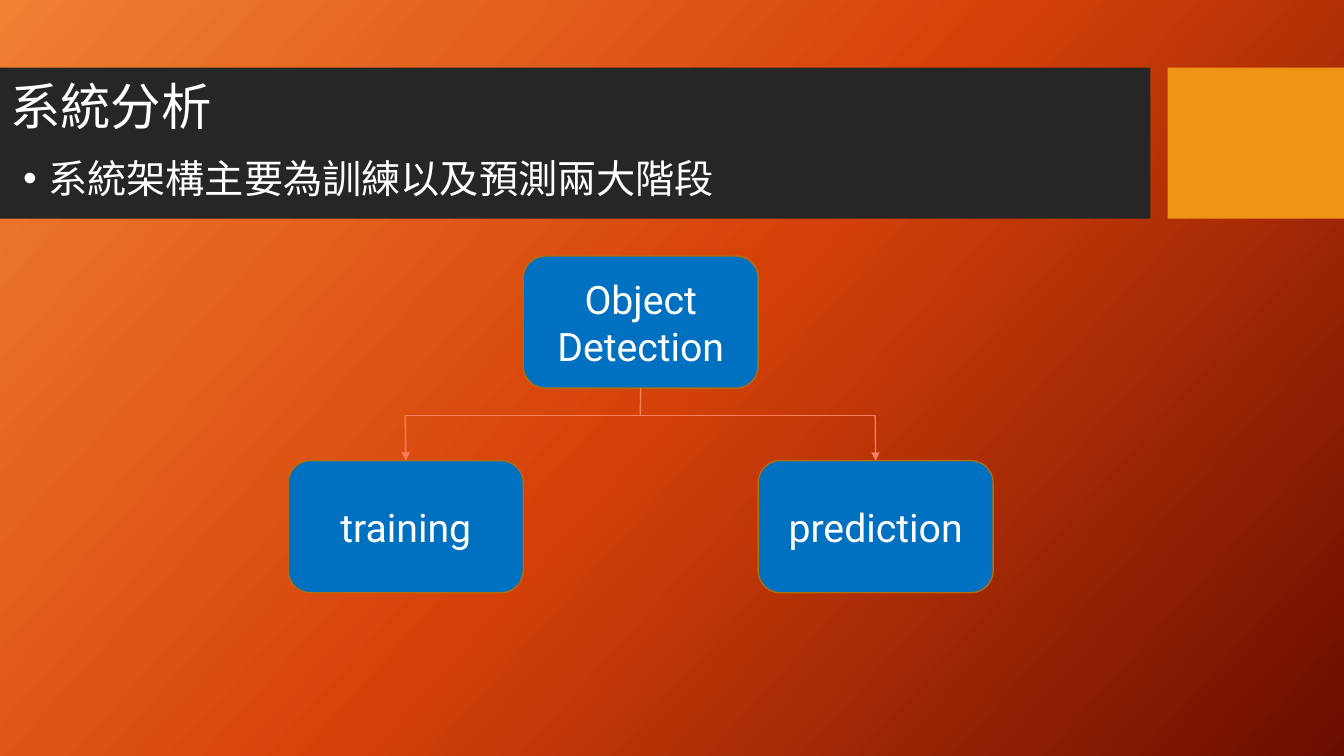
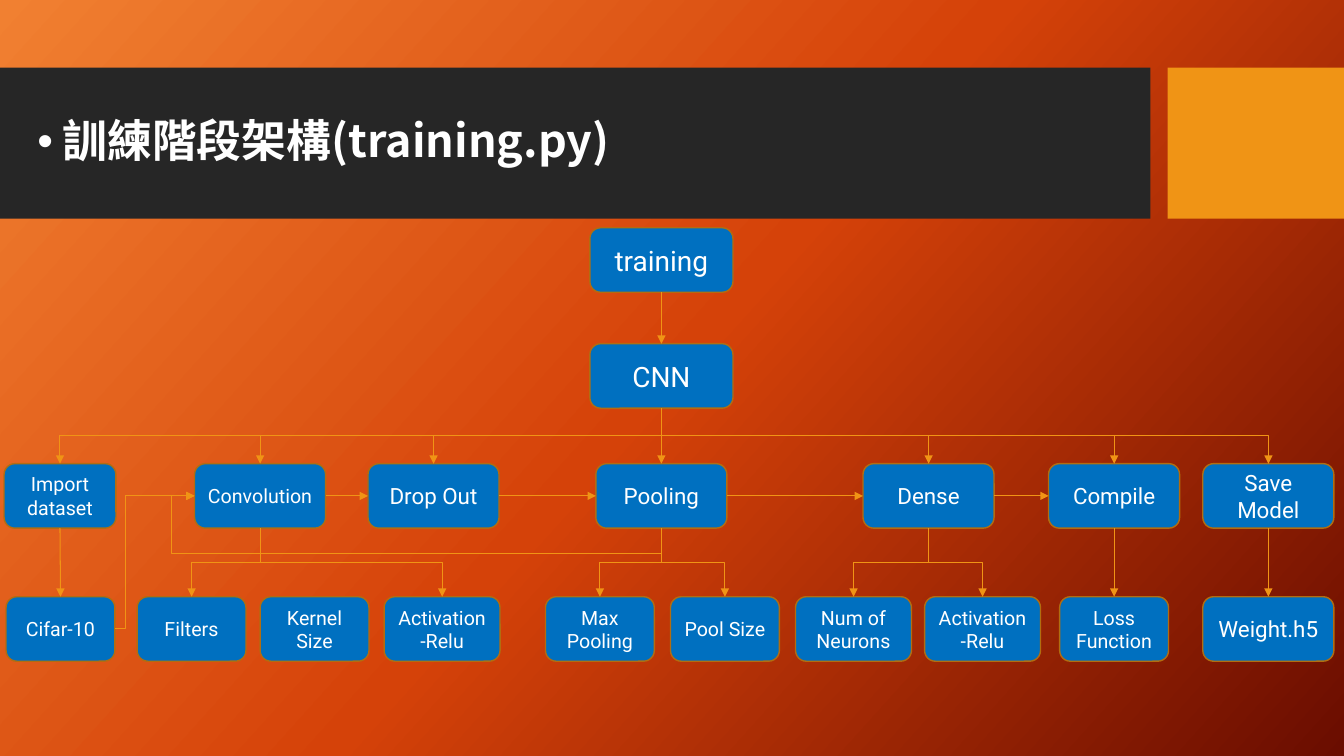
from copy import deepcopy

from lxml.etree import SubElement
from pptx import Presentation
from pptx.dml.color import RGBColor
from pptx.enum.shapes import MSO_CONNECTOR, MSO_SHAPE
from pptx.enum.text import MSO_ANCHOR, MSO_AUTO_SIZE, PP_ALIGN
from pptx.oxml.ns import qn
from pptx.util import Inches, Pt

COLORS = {
    "band": "262626",
    "accent": "F09415",
    "box": "0070C0",
    "box_edge": "B26D10",
    "branch": "FA7E5C",
    "text": "FFFFFF",
}
BACKGROUND = [(0, "F18031"), (0.5, "D54209"), (1, "6A0D00")]
BOX_FONT = "Roboto"
HEADING_FONT = "Noto Sans CJK SC"
TOP, LEFT, BOTTOM, RIGHT = range(4)


def rgb(name):
    return RGBColor.from_string(COLORS[name])


class Deck:
    def __init__(self):
        self.prs = Presentation()
        self.prs.slide_width = Inches(13.33)
        self.prs.slide_height = Inches(7.5)
        self.slide = None

    def add_slide(self):
        self.slide = self.prs.slides.add_slide(self.prs.slide_layouts[1])

    def style_master(self):
        master = self.prs.slide_master
        fill = master.background.fill
        fill.gradient()
        fill.gradient_angle = 318
        stops = master.element.find(".//" + qn("a:gsLst"))
        stops.insert(1, deepcopy(stops[0]))
        for stop, (position, color) in zip(fill.gradient_stops, BACKGROUND):
            stop.position = position
            stop.color.rgb = RGBColor.from_string(color)
        bands = [(0, 11.41, "band"), (11.58, 1.75, "accent")]
        for index, (left, width, color) in enumerate(bands):
            band = self.shape(MSO_SHAPE.RECTANGLE, left, 0.67, width, 1.5, color)
            band.line.fill.background()
            band.element.nvSpPr.cNvPr.set("id", str(20 + index))
            master.shapes.element.insert(2 + index, band.element)

    def shape(self, kind, left, top, width, height, color):
        shape = self.slide.shapes.add_shape(
            kind, Inches(left), Inches(top), Inches(width), Inches(height))
        shape.shadow.inherit = False
        shape.fill.solid()
        shape.fill.fore_color.rgb = rgb(color)
        return shape

    def font(self, paragraph, name, size, bold=False):
        font = paragraph.font
        font.size = Pt(size)
        font.bold = bold
        font.color.rgb = rgb("text")
        font.name = name
        latin = paragraph._p.find(".//" + qn("a:latin"))
        east_asian = deepcopy(latin)
        east_asian.tag = qn("a:ea")
        latin.addnext(east_asian)

    def placeholder(self, holder, text, left, top, width, height, size, bold=False):
        holder.left, holder.top = Inches(left), Inches(top)
        holder.width, holder.height = Inches(width), Inches(height)
        frame = holder.text_frame
        frame.text = text
        frame.word_wrap = True
        frame.auto_size = MSO_AUTO_SIZE.NONE
        paragraph = frame.paragraphs[0]
        paragraph.alignment = PP_ALIGN.LEFT
        paragraph.line_spacing = 0.9
        self.font(paragraph, HEADING_FONT, size, bold)
        return frame

    def title(self, text, *place, size):
        frame = self.placeholder(self.slide.shapes.title, text, *place, size)
        frame.vertical_anchor = MSO_ANCHOR.MIDDLE

    def remove_title(self):
        title = self.slide.shapes.title.element
        title.getparent().remove(title)

    def bullet(self, text, *place, size, bold=False):
        frame = self.placeholder(self.slide.placeholders[1], text, *place, size, bold)
        frame.vertical_anchor = MSO_ANCHOR.TOP
        paragraph = frame.paragraphs[0]
        paragraph.space_before = Pt(10)
        properties = paragraph._p.get_or_add_pPr()
        properties.set("marL", str(Inches(0.25)))
        properties.set("indent", str(-Inches(0.25)))
        mark = properties.makeelement(qn("a:buChar"), {"char": "•"})
        properties.find(qn("a:defRPr")).addprevious(mark)

    def box(self, text, left, top, width, height, size):
        box = self.shape(MSO_SHAPE.ROUNDED_RECTANGLE, left, top, width, height, "box")
        box.line.color.rgb = rgb("box_edge")
        box.line.width = Pt(1)
        frame = box.text_frame
        frame.text = text
        frame.word_wrap = True
        frame.vertical_anchor = MSO_ANCHOR.MIDDLE
        for paragraph in frame.paragraphs:
            paragraph.alignment = PP_ALIGN.CENTER
            self.font(paragraph, BOX_FONT, size)
        return box

    def line(self, start=(0, 0), end=(0, 0), begin_box=None, end_box=None,
             sites=(BOTTOM, TOP), kind=MSO_CONNECTOR.STRAIGHT,
             color="accent", width=0.75, arrow=True):
        line = self.slide.shapes.add_connector(
            kind, *(Inches(value) for value in (*start, *end)))
        if begin_box is not None:
            line.begin_connect(begin_box, sites[0])
        if end_box is not None:
            line.end_connect(end_box, sites[1])
        line.line.color.rgb = rgb(color)
        line.line.width = Pt(width)
        if arrow:
            SubElement(line.line._get_or_add_ln(), qn("a:tailEnd"), type="triangle")
        SubElement(line.element.spPr, qn("a:effectLst"))
        return line

    def elbow(self, begin_box, end_box, sites=(BOTTOM, TOP), bends=()):
        line = self.line(begin_box=begin_box, end_box=end_box, sites=sites,
                         kind=MSO_CONNECTOR.ELBOW)
        if sites[0] == BOTTOM:
            self.turn_down(line)
        geometry = line.element.spPr.find(qn("a:prstGeom"))
        geometry.set("prst", f"bentConnector{max(len(bends), 1) + 2}")
        guides = geometry.find(qn("a:avLst"))
        for number, bend in enumerate(bends, 1):
            SubElement(guides, qn("a:gd"), name=f"adj{number}",
                       fmla=f"val {round(bend * 100000)}")

    def turn_down(self, line):
        across = line.end_x - line.begin_x
        down = line.end_y - line.begin_y
        center_x = (line.begin_x + line.end_x) // 2
        center_y = (line.begin_y + line.end_y) // 2
        line.width, line.height = abs(down), abs(across)
        line.left = center_x - abs(down) // 2
        line.top = center_y - abs(across) // 2
        frame = line.element.spPr.xfrm
        frame.rot = 90 if across < 0 else 270
        frame.flipH = (across > 0) == (down > 0)
        frame.flipV = False

    def link_down(self, upper, lower):
        offset = upper.left + upper.width // 2 - lower.left - lower.width // 2
        if abs(offset) < Inches(0.02):
            self.line(begin_box=upper, end_box=lower)
        else:
            self.elbow(upper, lower)


def build_analysis(deck):
    deck.title("系統分析", 0, 0.66, 3.41, 0.84, size=36)
    deck.bullet("系統架構主要為訓練以及預測兩大階段", 0.13, 1.53, 9.83, 0.45, size=28)
    detection = deck.box("Object Detection", 5.19, 2.54, 2.33, 1.31, 28)
    style = {"color": "branch", "width": 1}
    middle, fork = 6.35, 4.12
    deck.line(end=(middle, fork), begin_box=detection, arrow=False, **style)
    for text, left in [("training", 2.86), ("prediction", 7.52)]:
        phase = deck.box(text, left, 4.57, 2.33, 1.31, 28)
        center = left + 1.16
        deck.line((middle, fork), (center, fork), arrow=False, **style)
        deck.line((center, fork), end_box=phase, **style)


STAGES = [
    ("Import\ndataset", 0.04, 1.11, 14, [("Cifar-10", 0.06, 1.08, 14)]),
    ("Convolution", 1.93, 1.3, 14, [
        ("Filters", 1.36, 1.08, 14),
        ("Kernel Size", 2.58, 1.08, 14),
        ("Activation-Relu", 3.81, 1.15, 14)]),
    ("Drop Out", 3.65, 1.3, 16, []),
    ("Pooling", 5.91, 1.3, 16, [
        ("Max Pooling", 5.41, 1.08, 14),
        ("Pool Size", 6.65, 1.08, 14)]),
    ("Dense", 8.56, 1.3, 16, [
        ("Num of Neurons", 7.89, 1.15, 14),
        ("Activation-Relu", 9.17, 1.15, 14)]),
    ("Compile", 10.4, 1.3, 16, [("Loss Function", 10.51, 1.08, 14)]),
    ("Save\nModel", 11.93, 1.3, 16, [("Weight.h5", 11.93, 1.3, 16)]),
]


def build_training(deck):
    deck.remove_title()
    deck.bullet("訓練階段架構(training.py)", 0.27, 1.13, 7.15, 0.58, size=32, bold=True)
    height = 0.64
    training = deck.box("training", 5.85, 2.26, 1.42, height, 20)
    cnn = deck.box("CNN", 5.85, 3.41, 1.42, height, 20)
    deck.link_down(training, cnn)
    stages, details = [], []
    for text, left, width, size, parts in STAGES:
        stage = deck.box(text, left, 4.6, width, height, size)
        stages.append(stage)
        details.append([deck.box(part, x, 5.92, w, height, points)
                        for part, x, w, points in parts])
    for stage, parts in zip(stages, details):
        deck.link_down(cnn, stage)
        for part in parts[:1] + parts[1:][-1:]:
            deck.link_down(stage, part)
    chain = stages[1:6]
    for before, after in zip(chain, chain[1:]):
        deck.line(begin_box=before, end_box=after, sites=(RIGHT, LEFT))
    convolution, pooling = stages[1], stages[3]
    cifar = details[0][0]
    deck.elbow(pooling, convolution, (BOTTOM, LEFT), (-0.78, 1.05))
    deck.elbow(cifar, convolution, (RIGHT, LEFT), (0.13,))


def main():
    deck = Deck()
    deck.add_slide()
    deck.style_master()
    build_analysis(deck)
    deck.add_slide()
    build_training(deck)
    deck.prs.save("out.pptx")


if __name__ == "__main__":
    main()
